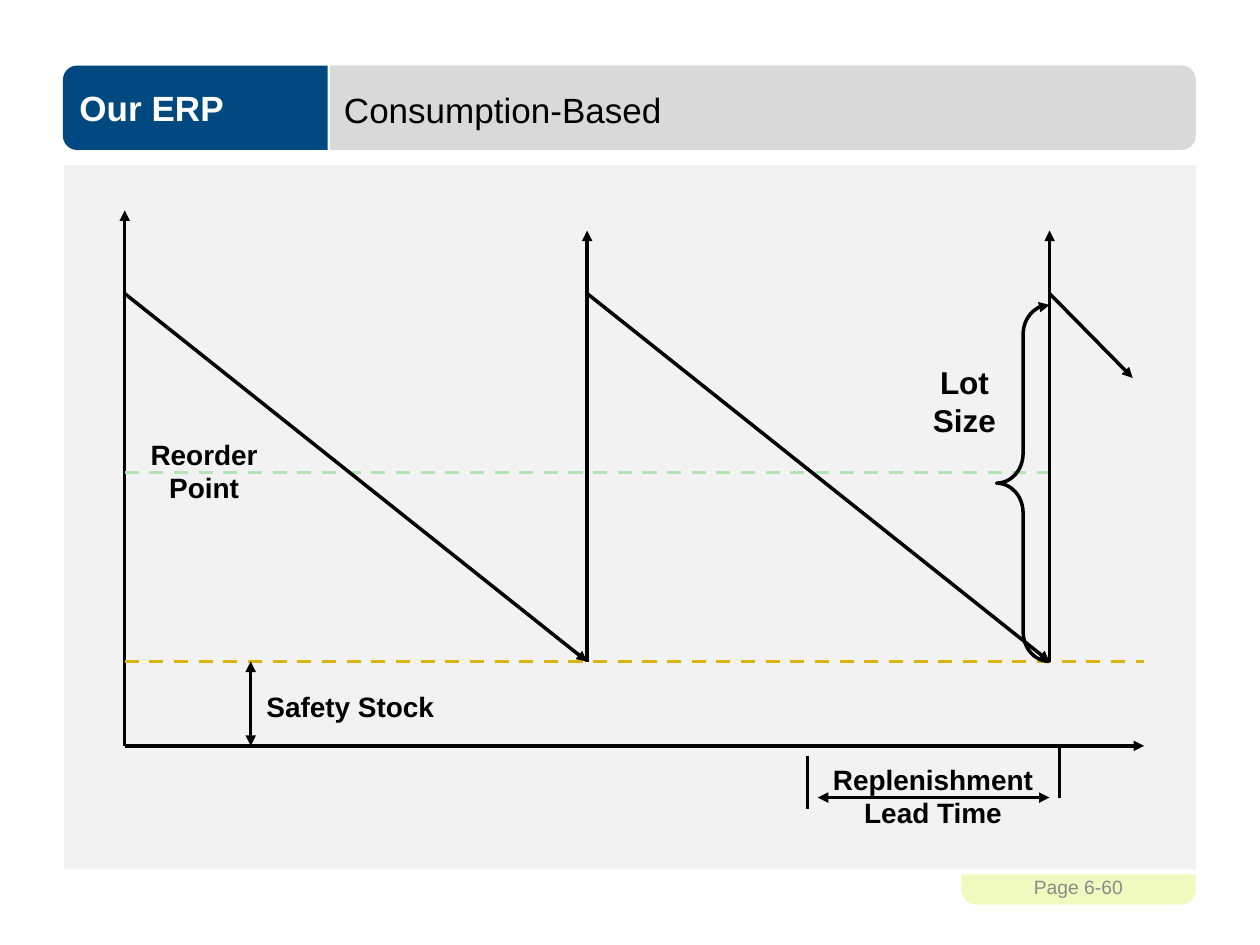
from lxml import etree
from pptx import Presentation
from pptx.dml.color import RGBColor
from pptx.enum.dml import MSO_LINE
from pptx.enum.shapes import MSO_CONNECTOR, MSO_SHAPE
from pptx.enum.text import MSO_ANCHOR, PP_ALIGN
from pptx.oxml.ns import qn
from pptx.util import Inches, Pt

STRAIGHT = MSO_CONNECTOR.STRAIGHT
RECT, BRACE = MSO_SHAPE.RECTANGLE, MSO_SHAPE.LEFT_BRACE
TAB = MSO_SHAPE.ROUND_2_SAME_RECTANGLE
CENTER, LEFT = PP_ALIGN.CENTER, PP_ALIGN.LEFT
MIDDLE, TOP = MSO_ANCHOR.MIDDLE, MSO_ANCHOR.TOP
DASH = MSO_LINE.DASH

FONT = "Arial"
COLORS = {
    "black": "000000", "white": "FFFFFF", "panel": "F2F2F2",
    "navy": "004880", "bar": "D9D9D9", "tag": "F1FABE",
    "page": "898989", "safety": "DBB40D", "reorder": "B2E6B2",
}


def rgb(name):
    return RGBColor.from_string(COLORS[name])


def write(sp, text, size, color="black", bold=False, align=CENTER, anchor=TOP):
    tf = sp.text_frame
    tf.word_wrap = True
    tf.vertical_anchor = anchor
    tf.text = text
    p = tf.paragraphs[0]
    p.alignment = align
    font = p.runs[0].font
    font.name, font.size, font.bold = FONT, Pt(size), bold
    font.color.rgb = rgb(color)


def add_block(slide, kind, x, y, w, h, color):
    sp = slide.shapes.add_shape(kind, Inches(x), Inches(y), Inches(w), Inches(h))
    sp.shadow.inherit = False
    sp.fill.solid()
    sp.fill.fore_color.rgb = rgb(color)
    sp.line.fill.background()
    return sp


def add_side_tab(slide, x, y, w, h, color, rotation):
    """Tab rounded on one side, made by turning a top-rounded shape about its centre."""
    sp = add_block(slide, TAB, x + (w - h) / 2, y + (h - w) / 2, h, w, color)
    sp.rotation = rotation
    return sp


def add_label(slide, text, x, y, w, h, size=16):
    sp = slide.shapes.add_textbox(Inches(x), Inches(y), Inches(w), Inches(h))
    write(sp, text, size, bold=True)


def style_line(sp, color="black", dash=None, head=False, tail=False):
    sp.line.color.rgb = rgb(color)
    sp.line.width = Pt(2)
    if dash:
        sp.line.dash_style = dash
    ln = sp.line._get_or_add_ln()
    for tag, wanted in (("a:headEnd", head), ("a:tailEnd", tail)):
        if wanted:
            etree.SubElement(ln, qn(tag), type="triangle")


def add_line(slide, x1, y1, x2, y2, **style):
    cx = slide.shapes.add_connector(
        STRAIGHT, Inches(x1), Inches(y1), Inches(x2), Inches(y2))
    style_line(cx, **style)
    etree.SubElement(cx._element.spPr, qn("a:effectLst"))


def add_header(slide, x, y, w, h):
    badge_w, gap = 2.1, 0.02
    badge = add_side_tab(slide, x, y, badge_w, h, "navy", 270)
    write(badge, "Our ERP", 20, "white", bold=True, anchor=MIDDLE)
    badge.text_frame._txBody.bodyPr.set("vert", "eaVert")
    bar_x = x + badge_w + gap
    add_side_tab(slide, bar_x, y, x + w - bar_x, h, "bar", 90)

    title = slide.shapes.title
    title.left, title.top = Inches(bar_x + 0.01), Inches(y + 0.02)
    title.width, title.height = Inches(6.67), Inches(0.65)
    write(title, "Consumption-Based", 20, align=LEFT, anchor=MIDDLE)
    slide.shapes._spTree.append(title._element)


def add_page_tag(slide, x, y, w, h):
    sp = add_block(slide, TAB, x, y, w, h, "tag")
    sp.adjustments[0], sp.adjustments[1] = 0, 0.5
    tf = sp.text_frame
    tf.margin_top = tf.margin_bottom = 0
    write(sp, "Page 6-60", 11, "page", anchor=MIDDLE)


def add_stock_chart(slide, x, y, w, h):
    """Sawtooth of stock over time, with the axes' corner at the lower left."""
    base, right = y + h, x + w
    cycle = 3.67
    peak, reorder, safety = base - 3.59, base - 2.17, base - 0.67
    end = x + 2 * cycle

    add_line(slide, x, base, right, base, tail=True)
    add_line(slide, x, base, x, y, tail=True)
    add_line(slide, x, safety, right, safety, color="safety", dash=DASH)
    add_line(slide, x, reorder, end, reorder, color="reorder", dash=DASH)
    for start in (x, x + cycle):
        add_line(slide, start, peak, start + cycle, safety, tail=True)
        add_line(slide, start + cycle, safety, start + cycle, peak - 0.5, tail=True)
    add_line(slide, end, peak, end + 0.66, peak + 0.67, tail=True)

    brace_w, brace_top = 0.42, peak + 0.09
    brace = slide.shapes.add_shape(
        BRACE, Inches(end - brace_w), Inches(brace_top),
        Inches(brace_w), Inches(safety - brace_top))
    brace.shadow.inherit = False
    brace.fill.background()
    brace.adjustments[0] = 0.56
    style_line(brace, tail=True)
    add_label(slide, "Lot Size", end - 1.09, peak + 0.5, 0.83, 0.7, size=18)

    add_line(slide, x + 1, safety, x + 1, base, head=True, tail=True)
    add_label(slide, "Safety Stock", x + 1, safety + 0.17, 1.58, 0.37)
    add_label(slide, "Reorder Point", x - 0.16, reorder - 0.33, 1.58, 0.64)

    lead = end - 1.84
    add_line(slide, lead - 0.08, base + 0.08, lead - 0.08, base + 0.5)
    add_line(slide, end + 0.08, base, end + 0.08, base + 0.41)
    add_line(slide, end, base + 0.41, lead, base + 0.41, head=True, tail=True)
    add_label(slide, "Replenishment Lead Time", lead, base + 0.08, 1.83, 0.64)


def main():
    prs = Presentation()
    prs.slide_width, prs.slide_height = Inches(10), Inches(7.5)
    slide = prs.slides.add_slide(prs.slide_layouts[5])
    add_block(slide, RECT, 0.51, 1.31, 8.98, 5.59, "panel")
    add_header(slide, 0.5, 0.52, 8.99, 0.67)
    add_page_tag(slide, 7.63, 6.94, 1.86, 0.24)
    add_stock_chart(slide, 0.99, 1.67, 8.09, 4.25)
    prs.save("out.pptx")


if __name__ == "__main__":
    main()
